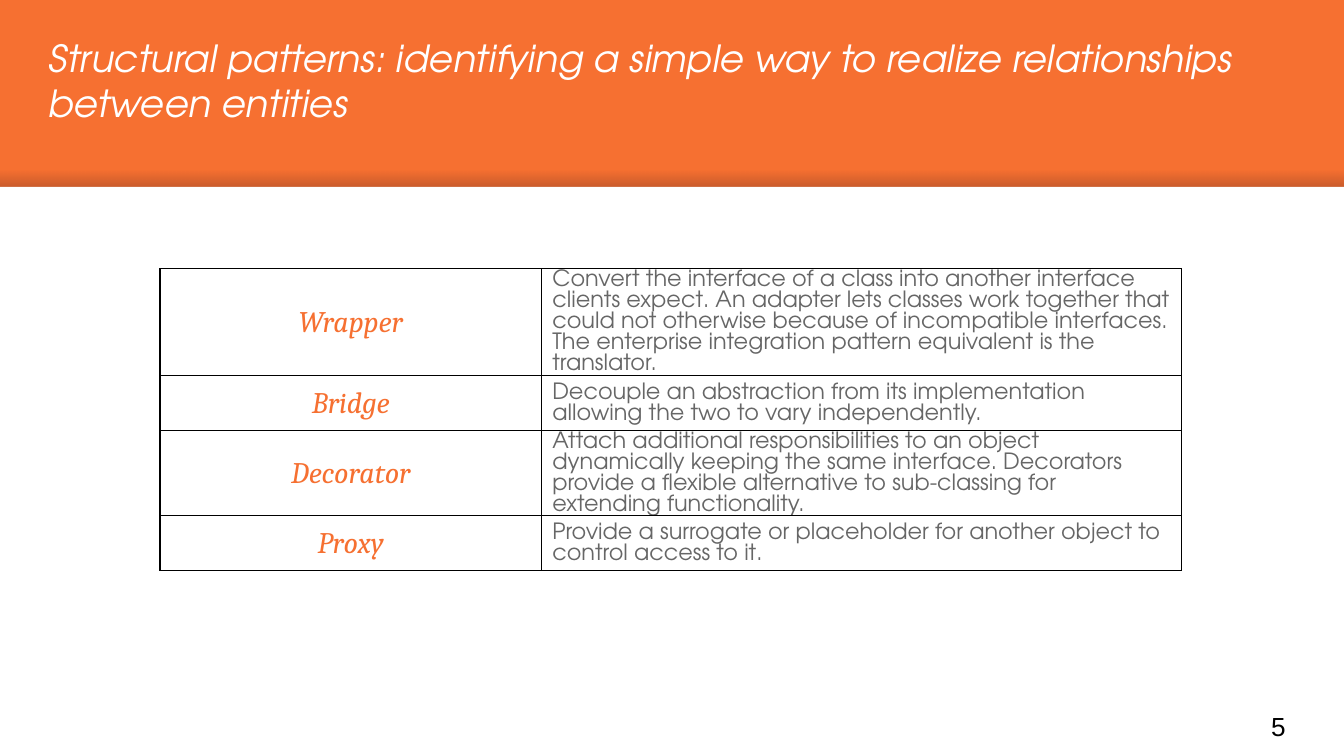
from lxml.etree import SubElement
from pptx import Presentation
from pptx.dml.color import RGBColor
from pptx.enum.shapes import MSO_SHAPE
from pptx.enum.text import MSO_ANCHOR, PP_ALIGN
from pptx.oxml.ns import qn
from pptx.util import Inches, Pt

# Content
TITLE = ("Structural patterns: identifying a simple way to realize "
         "relationships between entities")
PAGE_NUMBER = "5"
# Pattern, description, lines the description takes
PATTERNS = [
    ("Wrapper", "Convert the interface of a class into another interface clients "
     "expect. An adapter lets classes work together that could not otherwise "
     "because of incompatible interfaces. The enterprise integration pattern "
     "equivalent is the translator.", 5),
    ("Bridge", "Decouple an abstraction from its implementation allowing the two "
     "to vary independently.", 2),
    ("Decorator", "Attach additional responsibilities to an object dynamically "
     "keeping the same interface. Decorators provide a flexible alternative to "
     "sub-classing for extending functionality.", 4),
    ("Proxy", "Provide a surrogate or placeholder for another object to control "
     "access to it.", 2),
]

# Theme: colours and type
THEME = {
    "accent": "F67031", "paper": "FFFFFF", "shade": "000014", "border": "000000",
    "title": {"name": "TeX Gyre Adventor", "size": 20, "italic": True, "color": "FFFFFF"},
    "number": {"name": "Arial", "size": 14, "italic": False, "color": "000000"},
    "pattern": {"name": "Cambria", "size": 16, "italic": True, "color": "F67031"},
    "description": {"name": "TeX Gyre Adventor", "size": 12, "italic": False,
                    "color": "666666"},
}

# Layout in inches, line pitch in points
WIDTH = 10
HEIGHT = WIDTH * 9 / 16
BAND_HEIGHT, SHADE_HEIGHT = 1.39, 0.12
TABLE_LEFT, TABLE_TOP = 1.19, 2
COLUMN_WIDTHS = (2.84, 4.76)
MIN_ROW, CELL_TOP, LINE_PITCH = 0.41, 0.01, 11.25
SIDES = ("left", "top", "right", "bottom")
CELL_STYLES = (
    {"style": "pattern", "align": PP_ALIGN.CENTER, "spacing": None,
     "insets": (0.01, CELL_TOP, 0.01, 0)},
    {"style": "description", "align": PP_ALIGN.LEFT, "spacing": Pt(LINE_PITCH),
     "insets": (0.08, CELL_TOP, 0.08, 0)},
)


def write(paragraph, text, style):
    run = paragraph.add_run()
    run.text = text
    values = dict(THEME[style])
    run.font.color.rgb = RGBColor.from_string(values.pop("color"))
    values["size"] = Pt(values["size"])
    for attribute, value in values.items():
        setattr(run.font, attribute, value)


def set_insets(target, insets):
    for side, inset in zip(SIDES, insets):
        setattr(target, f"margin_{side}", Inches(inset))


def add_rectangle(slide, left, top, width, height):
    shape = slide.shapes.add_shape(MSO_SHAPE.RECTANGLE, *map(Inches, (left, top, width, height)))
    shape.shadow.inherit = False
    shape.line.fill.background()
    return shape


def add_text(slide, box, text, style, anchor):
    frame = slide.shapes.add_textbox(*map(Inches, box)).text_frame
    frame.word_wrap = True
    frame.vertical_anchor = anchor
    set_insets(frame, [0.1] * 4)
    write(frame.paragraphs[0], text, style)


def add_borders(cell):
    properties = cell._tc.get_or_add_tcPr()
    for position, tag in enumerate(("a:lnL", "a:lnR", "a:lnT", "a:lnB")):
        line = properties.makeelement(qn(tag), {"w": str(Pt(0.75))})
        fill = SubElement(line, qn("a:solidFill"))
        SubElement(fill, qn("a:srgbClr"), val=THEME["border"])
        properties.insert(position, line)


def add_pattern_table(slide):
    heights = [max(MIN_ROW, CELL_TOP + lines * LINE_PITCH / 72) for *_, lines in PATTERNS]
    table = slide.shapes.add_table(
        len(PATTERNS), len(COLUMN_WIDTHS),
        *map(Inches, (TABLE_LEFT, TABLE_TOP, sum(COLUMN_WIDTHS), sum(heights)))).table
    table.first_row = table.horz_banding = False
    for column, width in zip(table.columns, COLUMN_WIDTHS):
        column.width = Inches(width)
    for row, height, (*texts, _) in zip(table.rows, heights, PATTERNS):
        row.height = Inches(height)
        for cell, text, cell_style in zip(row.cells, texts, CELL_STYLES):
            cell.fill.background()
            cell.vertical_anchor = MSO_ANCHOR.MIDDLE
            set_insets(cell, cell_style["insets"])
            paragraph = cell.text_frame.paragraphs[0]
            paragraph.alignment = cell_style["align"]
            paragraph.line_spacing = cell_style["spacing"]
            write(paragraph, text, cell_style["style"])
            add_borders(cell)


def main():
    presentation = Presentation()
    presentation.slide_width, presentation.slide_height = Inches(WIDTH), Inches(HEIGHT)
    slide = presentation.slides.add_slide(presentation.slide_layouts[6])

    # Orange background shows as the title band above the white area
    background = slide.background.fill
    background.solid()
    background.fore_color.rgb = RGBColor.from_string(THEME["accent"])

    # Shade that darkens towards the foot of the band
    shade = add_rectangle(slide, 0, BAND_HEIGHT - SHADE_HEIGHT, WIDTH, SHADE_HEIGHT)
    shade.fill.gradient()
    shade.fill.gradient_angle = 270
    for stop, position in zip(shade.fill.gradient_stops, (0, 1)):
        stop.position = position
        stop.color.rgb = RGBColor.from_string(THEME["shade"])
    for color, alpha in zip(shade._element.spPr.iter(qn("a:srgbClr")), ("0", "20000")):
        SubElement(color, qn("a:alpha"), val=alpha)

    # White area
    body = add_rectangle(slide, 0, BAND_HEIGHT, WIDTH, HEIGHT - BAND_HEIGHT)
    body.fill.solid()
    body.fill.fore_color.rgb = RGBColor.from_string(THEME["paper"])

    # Page number, title and table
    add_text(slide, (9.36, 5.19, 0.6, 0.43), PAGE_NUMBER, "number", MSO_ANCHOR.MIDDLE)
    add_text(slide, (0.26, 0.16, 9.31, 1.17), TITLE, "title", MSO_ANCHOR.TOP)
    add_pattern_table(slide)

    presentation.save("out.pptx")


if __name__ == "__main__":
    main()
